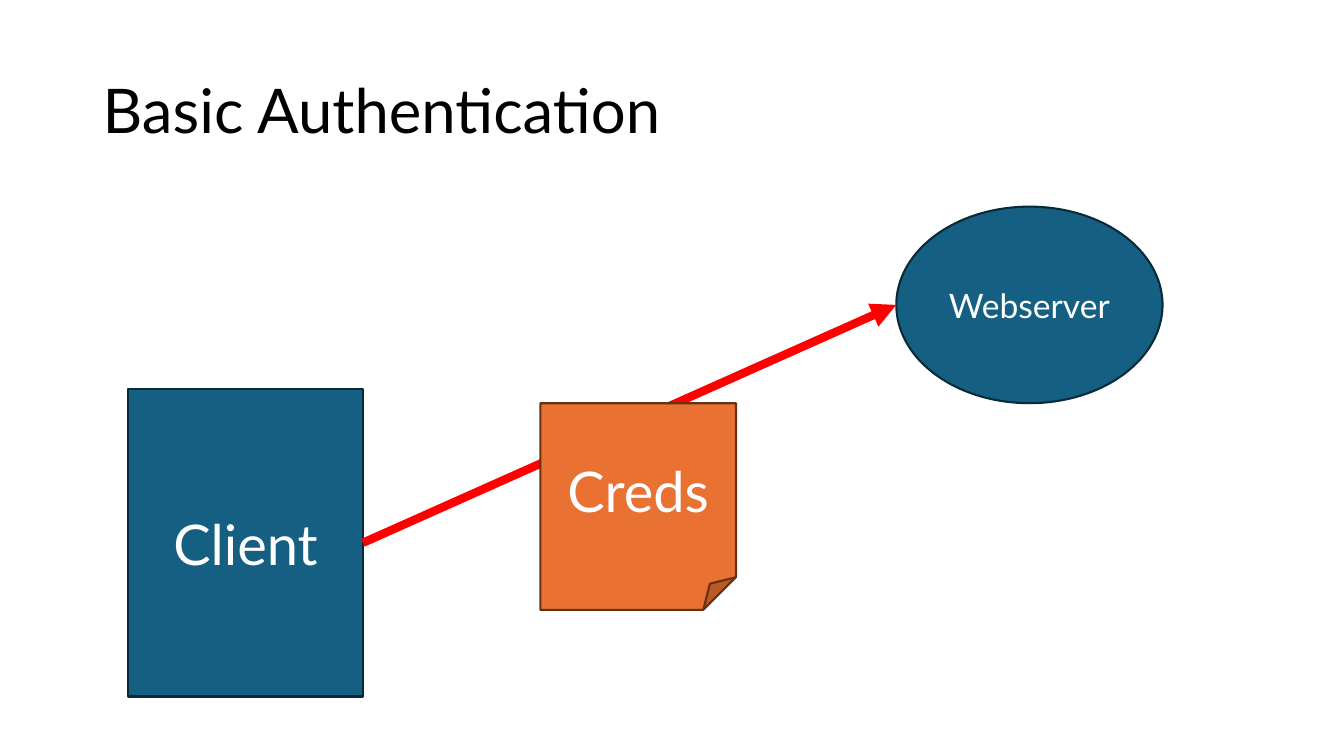
"""Build the Basic Authentication slide."""
from lxml import etree
from pptx import Presentation
from pptx.dml.color import RGBColor
from pptx.enum.shapes import MSO_CONNECTOR, MSO_SHAPE
from pptx.enum.text import MSO_ANCHOR, PP_ALIGN
from pptx.oxml.ns import qn
from pptx.util import Pt

RECT, OVAL, NOTE = MSO_SHAPE.RECTANGLE, MSO_SHAPE.OVAL, MSO_SHAPE.FOLDED_CORNER
LEFT, CENTER = PP_ALIGN.LEFT, PP_ALIGN.CENTER
MIDDLE = MSO_ANCHOR.MIDDLE
STRAIGHT = MSO_CONNECTOR.STRAIGHT
RIGHT = 3

PX = 9144
FONT = "Lato"
COLORS = {
    "black": "000000", "white": "FFFFFF", "red": "FF0000",
    "blue": "156082", "navy": "092A39",
    "orange": "E97132", "brown": "663216",
}

SIZE = (1333, 750)
TITLE = ("Basic Authentication", (92, 40, 1150, 145), 44)
CLIENT = ("Client", RECT, (127, 386, 233, 305), "blue", "navy", 40)
SERVER = ("Webserver", OVAL, (889, 205, 264, 195), "blue", "navy", 24)
CREDS = ("Creds", NOTE, (536, 400, 194, 205), "orange", "brown", 40)


def emu(box):
    return [n * PX for n in box]


def rgb(name):
    return RGBColor.from_string(COLORS[name])


def write(shape, text, size, color, align):
    frame = shape.text_frame
    frame.word_wrap = True
    frame.vertical_anchor = MIDDLE
    para = frame.paragraphs[0]
    para.alignment = align
    run = para.add_run()
    run.text = text
    run.font.name = FONT
    run.font.size = Pt(size)
    run.font.color.rgb = rgb(color)
    return para


def add_node(slide, text, kind, box, fill, edge, size):
    node = slide.shapes.add_shape(kind, *emu(box))
    node.shadow.inherit = False
    node.fill.solid()
    node.fill.fore_color.rgb = rgb(fill)
    node.line.color.rgb = rgb(edge)
    node.line.width = Pt(1.5)
    write(node, text, size, "white", CENTER)
    return node


def add_arrow(slide, start, end):
    tip = (end.left, end.top + end.height // 2)
    arrow = slide.shapes.add_connector(STRAIGHT, 0, 0, *tip)
    arrow.begin_connect(start, RIGHT)
    arrow.line.color.rgb = rgb("red")
    arrow.line.width = Pt(6)
    props = arrow.line._get_or_add_ln()
    etree.SubElement(props, qn("a:tailEnd"), type="triangle")
    etree.SubElement(props.getparent(), qn("a:effectLst"))


def main():
    deck = Presentation()
    deck.slide_width, deck.slide_height = emu(SIZE)
    slide = deck.slides.add_slide(deck.slide_layouts[6])
    text, box, size = TITLE
    title = slide.shapes.add_textbox(*emu(box))
    write(title, text, size, "black", LEFT).line_spacing = 0.9
    client = add_node(slide, *CLIENT)
    server = add_node(slide, *SERVER)
    add_arrow(slide, client, server)
    add_node(slide, *CREDS)
    deck.save("out.pptx")


if __name__ == "__main__":
    main()
